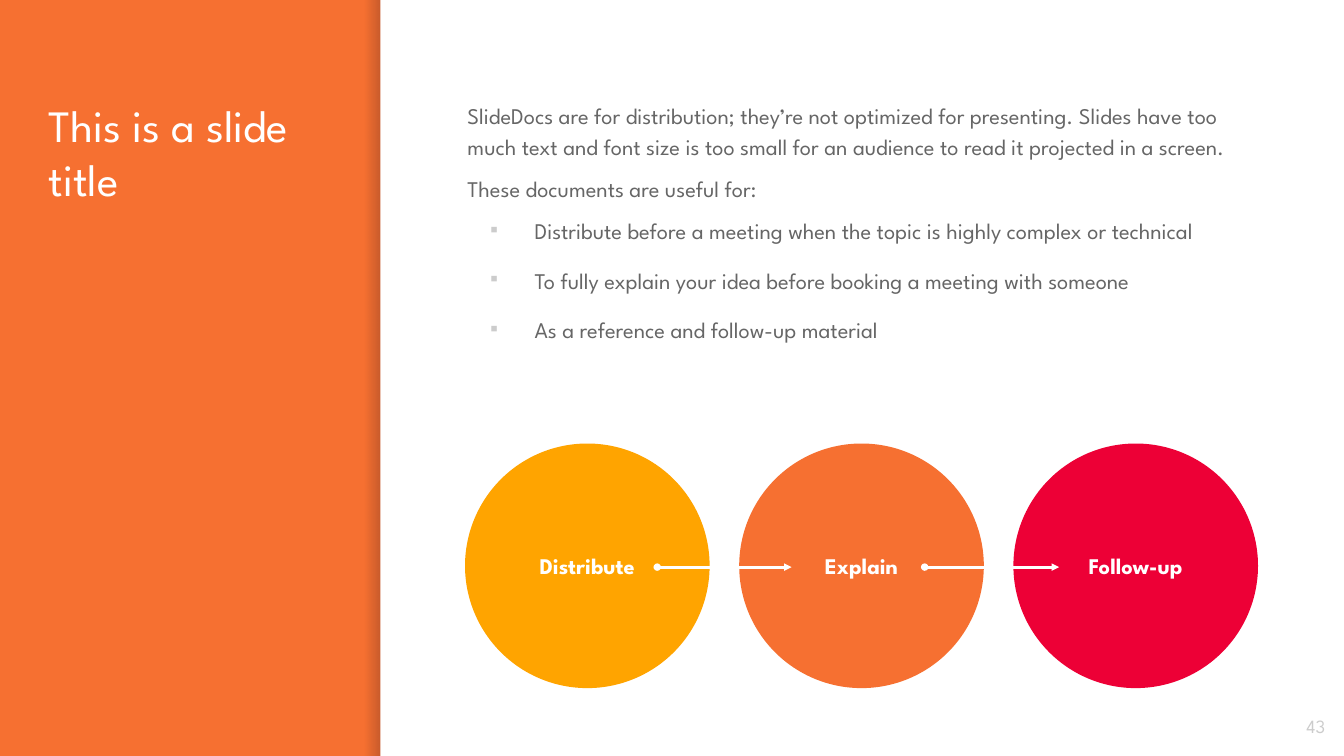
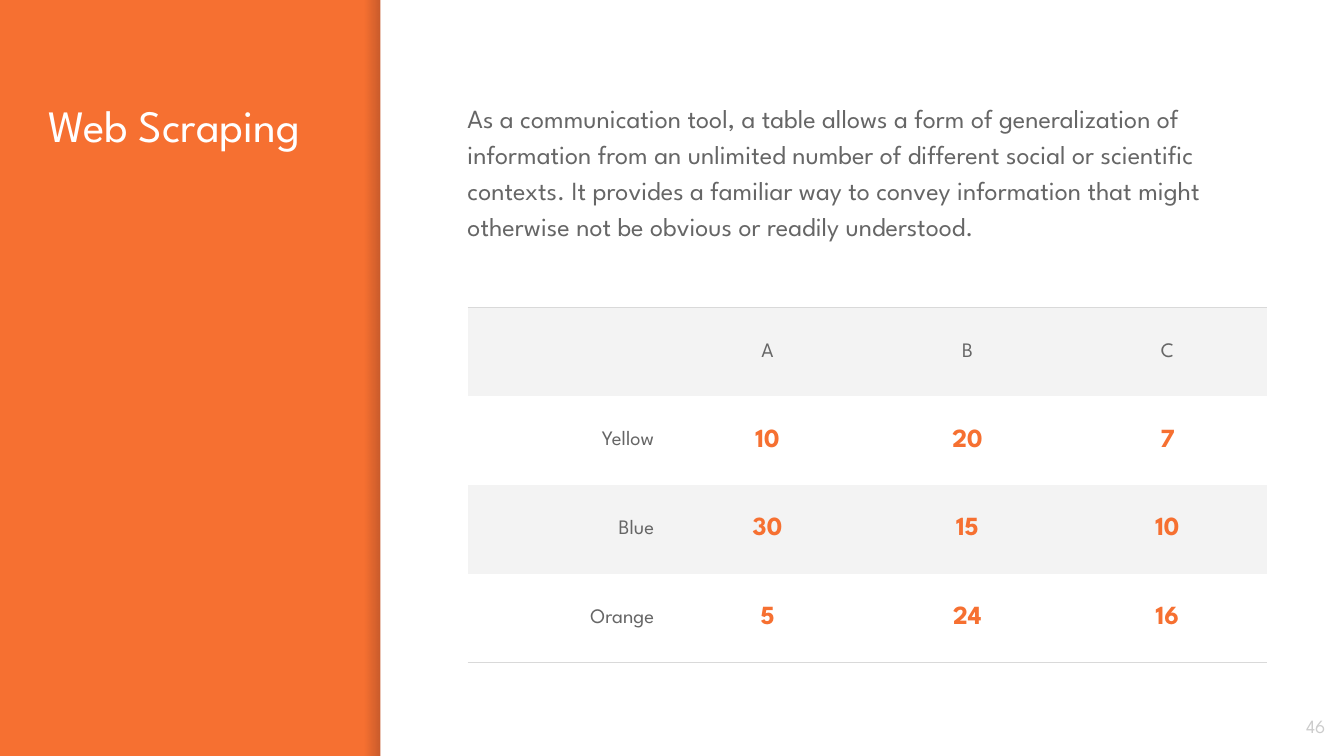
from lxml.etree import SubElement
from pptx import Presentation
from pptx.dml.color import RGBColor
from pptx.enum.shapes import MSO_CONNECTOR as CONN, MSO_SHAPE as SHAPE
from pptx.enum.text import MSO_ANCHOR as ANCHOR, MSO_AUTO_SIZE as FIT, PP_ALIGN as ALIGN
from pptx.oxml.ns import qn
from pptx.util import Inches, Pt

FONT = "League Spartan"
ORANGE, YELLOW, RED, WHITE = "F67031", "FFA400", "ED0036", "FFFFFF"
TEXT, MUTED, BAND, RULE = "666666", "CCCCCC", "F3F3F3", "D9D9D9"
SHADE = "000014"
NO_STYLE = "{2D5ABB26-0587-4C30-8999-92F81FD0307C}"
W = 10
H = W * 9 / 16
PANEL_X, SHADE_W = 2.83, 0.12
BODY = (3.38, 0.63, 6.12)

INTRO = [
    "SlideDocs are for distribution; they’re not optimized for presenting. Slides have too much text "
    "and font size is too small for an audience to read it projected in a screen.",
    "These documents are useful for:",
]
USES = [
    ("Distribute before a meeting when the topic is highly complex or technical", 6, 0),
    ("To fully explain your idea before booking a meeting with someone", 10, 0),
    ("As a reference and follow-up material", 10, 10),
]
STEPS = [("Distribute", YELLOW), ("Explain", ORANGE), ("Follow-up", RED)]
ARROW_STARTS = [4.89, 6.88]

TABLE_TEXT = (
    "As a communication tool, a table allows a form of generalization of information from an unlimited "
    "number of different social or scientific contexts. It provides a familiar way to convey information "
    "that might otherwise not be obvious or readily understood."
)
ROWS = [
    ("", "A", "B", "C"),
    ("Yellow", "10", "20", "7"),
    ("Blue", "30", "15", "10"),
    ("Orange", "5", "24", "16"),
]


def rgb(value):
    return RGBColor.from_string(value)


def box(*lengths):
    return [Inches(n) for n in lengths]


def write(tf, text, size=12, color=TEXT, bold=False, align=ALIGN.LEFT, spacing=None,
          before=0, after=0, bullet=False):
    p = tf.paragraphs[0]
    if p.runs:
        p = tf.add_paragraph()
    p.alignment = align
    p.space_before, p.space_after = Pt(before), Pt(after)
    if spacing:
        p.line_spacing = spacing
    if bullet:
        pPr = p._p.get_or_add_pPr()
        pPr.set("marL", str(Inches(0.5)))
        pPr.set("indent", str(Inches(-0.33)))
        clr = SubElement(pPr, qn("a:buClr"))
        SubElement(clr, qn("a:srgbClr"), val=MUTED)
        SubElement(pPr, qn("a:buSzPct"), val="85000")
        SubElement(pPr, qn("a:buFont"), typeface=FONT)
        SubElement(pPr, qn("a:buChar"), char="▪")
    r = p.add_run()
    r.text = text
    r.font.name, r.font.size, r.font.bold = FONT, Pt(size), bold
    r.font.color.rgb = rgb(color)


def frame(tf, anchor=ANCHOR.TOP):
    tf.word_wrap = True
    tf.auto_size = FIT.NONE
    tf.vertical_anchor = anchor
    tf.margin_left = tf.margin_right = tf.margin_top = tf.margin_bottom = Inches(0.1)
    return tf


def add_text(s, at, anchor=ANCHOR.TOP):
    return frame(s.shapes.add_textbox(*box(*at)).text_frame, anchor)


def add_shape(s, kind, at, color=None):
    sp = s.shapes.add_shape(kind, *box(*at))
    sp.shadow.inherit = False
    sp.line.fill.background()
    if color:
        sp.fill.solid()
        sp.fill.fore_color.rgb = rgb(color)
    return sp


def add_shade(s):
    sp = add_shape(s, SHAPE.RECTANGLE, (PANEL_X - SHADE_W, 0, SHADE_W, H))
    sp.fill.gradient()
    sp.fill.gradient_angle = 0
    for stop in sp.fill.gradient_stops:
        stop.color.rgb = rgb(SHADE)
    for clr, alpha in zip(sp._element.spPr.iter(qn("a:srgbClr")), (0, 20)):
        SubElement(clr, qn("a:alpha"), val=str(alpha * 1000))


def add_arrow(s, x, y, length):
    c = s.shapes.add_connector(CONN.STRAIGHT, *box(x, y, x + length, y))
    c.line.color.rgb = rgb(WHITE)
    c.line.width = Pt(1.5)
    ln = c.line._get_or_add_ln()
    for end, kind in (("headEnd", "oval"), ("tailEnd", "triangle")):
        SubElement(ln, qn("a:" + end), type=kind, w="sm", len="sm")
    SubElement(c._element.spPr, qn("a:effectLst"))


def add_border(cell, side):
    tcPr = cell._tc.get_or_add_tcPr()
    ln = SubElement(tcPr, qn("a:" + side), w=str(Pt(0.75)))
    fill = SubElement(ln, qn("a:solidFill"))
    SubElement(fill, qn("a:srgbClr"), val=RULE)
    tcPr.insert(0, ln)


def add_slide(prs, title, number):
    s = prs.slides.add_slide(prs.slide_layouts[5])
    s.background.fill.solid()
    s.background.fill.fore_color.rgb = rgb(ORANGE)
    add_shade(s)
    add_shape(s, SHAPE.RECTANGLE, (PANEL_X, 0, W - PANEL_X, H), WHITE)
    sp = s.shapes.title
    sp.left, sp.top, sp.width, sp.height = box(0.26, 0.63, 2.24, 4.35)
    write(frame(sp.text_frame), title, size=24, color=WHITE)
    tf = add_text(s, (9.36, 5.19, 0.6, 0.43), ANCHOR.MIDDLE)
    write(tf, number, size=10, color=MUTED, align=ALIGN.RIGHT)
    return s


def build_process(prs):
    s = add_slide(prs, "This is a slide title", "43")
    tf = add_text(s, (*BODY, 3.02))
    for i, text in enumerate(INTRO):
        write(tf, text, spacing=1.15, before=6 if i else 0)
    for text, before, after in USES:
        write(tf, text, spacing=1.15, before=before, after=after, bullet=True)

    left, top, size, pitch = 3.46, 3.3, 1.82, 2.04
    for i, (label, color) in enumerate(STEPS):
        sp = add_shape(s, SHAPE.OVAL, (left + i * pitch, top, size, size), color)
        write(frame(sp.text_frame, ANCHOR.MIDDLE), label, color=WHITE, bold=True, align=ALIGN.CENTER)
    for x in ARROW_STARTS:
        add_arrow(s, x, 4.22, 1)


def build_table(prs):
    s = add_slide(prs, "Web Scraping", "46")
    write(add_text(s, (*BODY, 1.16)), TABLE_TEXT, size=14, spacing=1.15)

    shape = s.shapes.add_table(len(ROWS), len(ROWS[0]), *box(3.48, 2.29, 5.95, 2.64))
    table = shape.table
    table.first_row = table.horz_banding = False
    table._tbl.tblPr.find(qn("a:tableStyleId")).text = NO_STYLE
    for i, row in enumerate(ROWS):
        table.rows[i].height = Inches(0.66)
        for j, text in enumerate(row):
            cell = table.cell(i, j)
            cell.vertical_anchor = ANCHOR.MIDDLE
            cell.margin_left = cell.margin_right = Inches(0.1)
            cell.margin_top = cell.margin_bottom = Inches(0.07)
            if i % 2:
                cell.fill.background()
            else:
                cell.fill.solid()
                cell.fill.fore_color.rgb = rgb(BAND)
            if i == 0:
                add_border(cell, "lnT")
            if i == len(ROWS) - 1:
                add_border(cell, "lnB")
            value = i > 0 and j > 0
            if text:
                write(cell.text_frame, text, size=14 if value else 11, color=ORANGE if value else TEXT,
                      bold=value, align=ALIGN.CENTER if j else ALIGN.RIGHT)


def main():
    prs = Presentation()
    prs.slide_width, prs.slide_height = box(W, H)
    build_process(prs)
    build_table(prs)
    prs.save("out.pptx")


if __name__ == "__main__":
    main()
